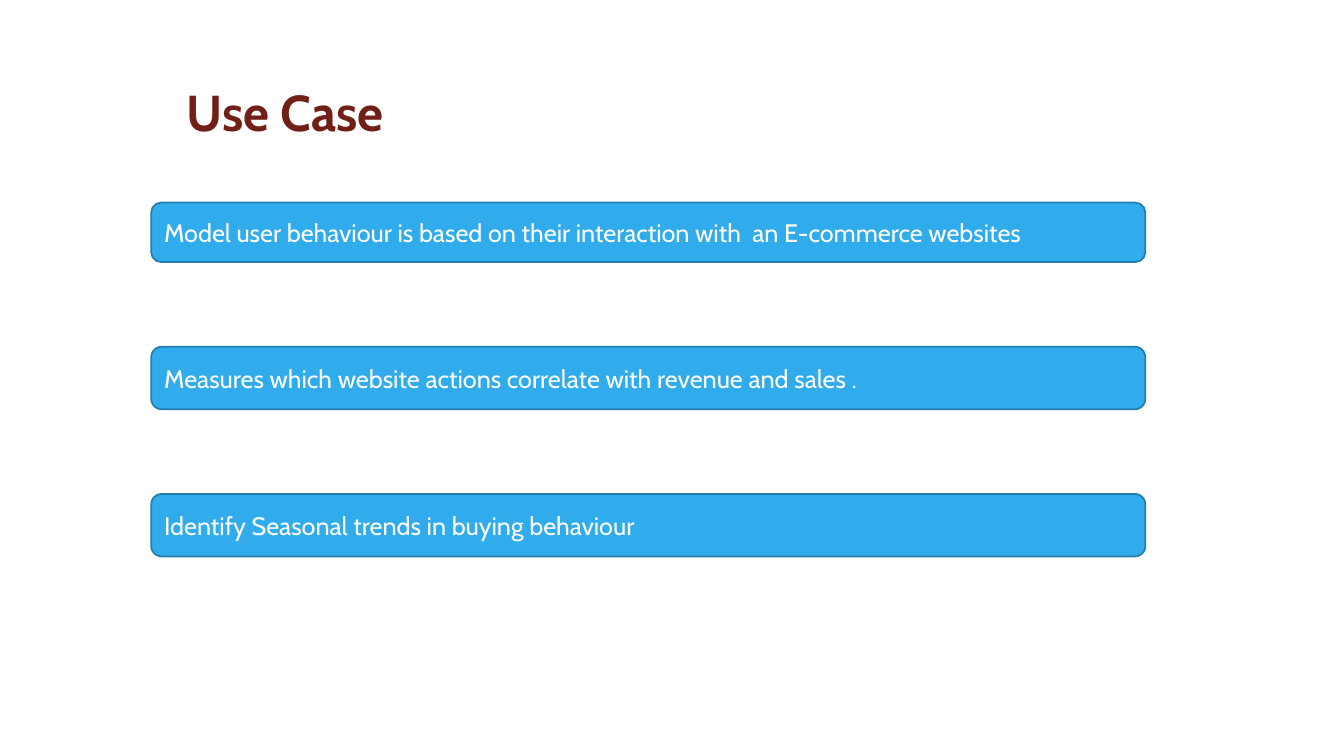
from pptx import Presentation, util as u
from pptx.dml.color import RGBColor
from pptx.enum import shapes, text

HUES = {"title": "712018", "bar": "30ACEC", "edge": "247FAF", "label": "FFFFFF"}
CASES = [
    ("Model user behaviour is based on their interaction with  an E-commerce websites", 0.59),
    ("Measures which website actions correlate with revenue and sales .", 0.62),
    ("Identify Seasonal trends in buying behaviour", 0.62),
]


def hue(name):
    """Return the named colour."""
    return RGBColor.from_string(HUES[name])


def place(shape, box):
    """Move a shape to a box given in inches."""
    for key, value in zip(("left", "top", "width", "height"), box):
        setattr(shape, key, u.Inches(value))


def write(shape, words, size, tone, align, bold=False):
    """Put one formatted line of text in a shape."""
    frame = shape.text_frame
    frame.text = words
    frame.word_wrap = True
    frame.auto_size = text.MSO_AUTO_SIZE.NONE
    frame.vertical_anchor = text.MSO_ANCHOR.MIDDLE
    line = frame.paragraphs[0]
    line.alignment = align
    font = line.runs[0].font
    for key, value in {"name": "Cabin", "size": u.Pt(size), "bold": bold}.items():
        setattr(font, key, value)
    font.color.rgb = hue(tone)


def head(slide, box):
    """Set the slide title in its placeholder."""
    place(slide.shapes.title, box)
    write(slide.shapes.title, "Use Case", 36, "title", text.PP_ALIGN.CENTER, True)


def bars(slide, box):
    """Stack the case bars with their lower edges evenly spaced."""
    left, top, width, height = box
    first, last = CASES[0][1], CASES[-1][1]
    step = (height - first) / (len(CASES) - 1)
    for i, (words, tall) in enumerate(CASES):
        base = top + first + i * step
        bar = slide.shapes.add_shape(shapes.MSO_SHAPE.ROUNDED_RECTANGLE, 0, 0, 0, 0)
        place(bar, (left, base - tall, width, tall))
        bar.shadow.inherit = False
        bar.fill.solid()
        bar.fill.fore_color.rgb = hue("bar")
        bar.line.color.rgb = hue("edge")
        bar.line.width = u.Pt(1.25)
        write(bar, words, 18, "label", text.PP_ALIGN.LEFT)


deck = Presentation()
deck.slide_width, deck.slide_height = u.Inches(13.33), u.Inches(7.5)
page = deck.slides.add_slide(deck.slide_layouts[5])
head(page, (1.62, 0.75, 2.42, 0.71))
bars(page, (1.5, 2.01, 9.86, 3.51))
deck.save("out.pptx")
